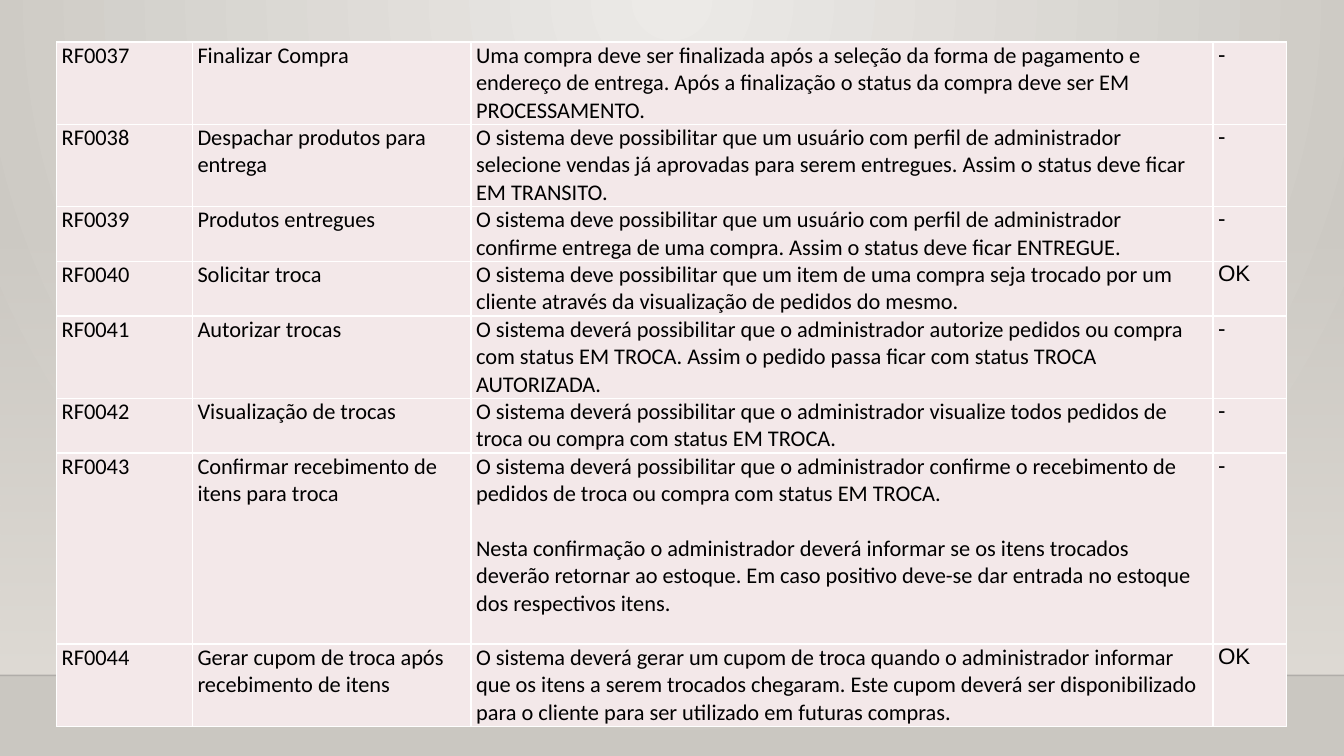
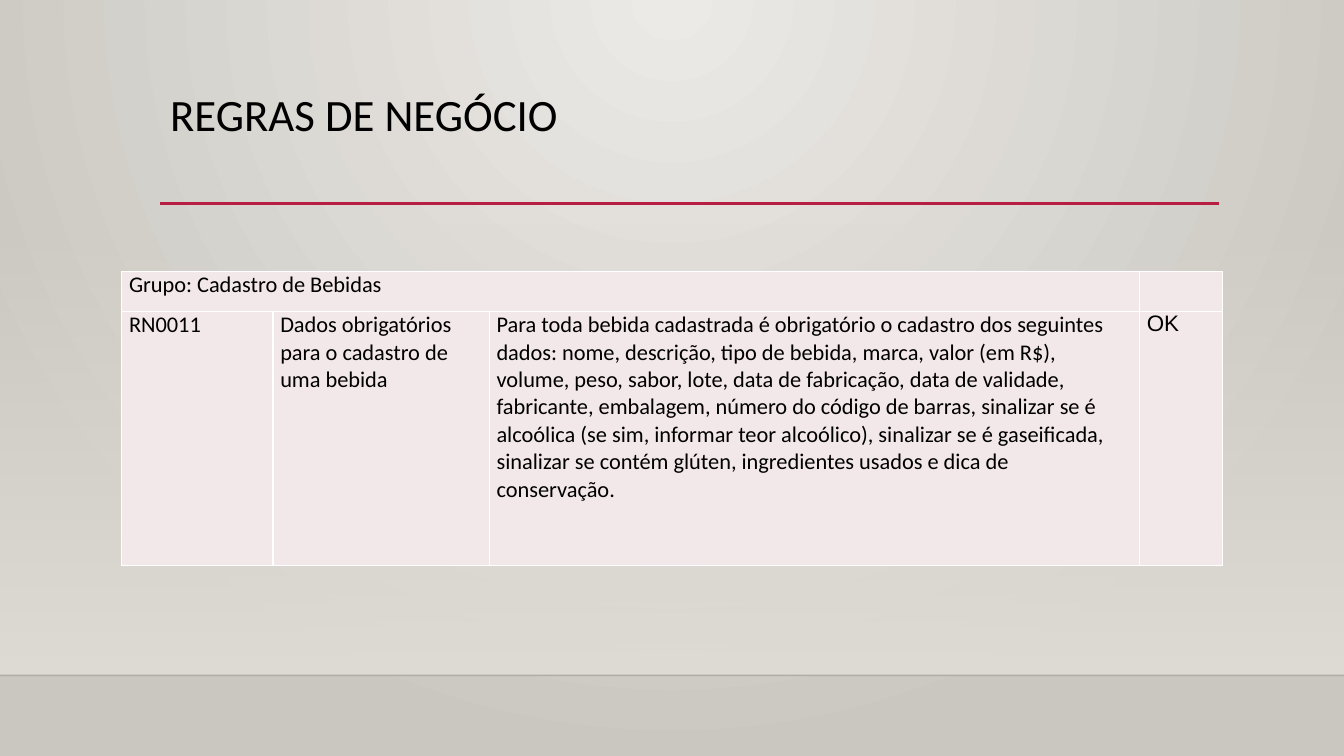
"""Build two slides of requirement and business rule tables."""
import pptx
import pptx.dml.color
import pptx.enum.shapes
import pptx.oxml.ns
import pptx.oxml.xmlchemy
import pptx.util

Pt = pptx.util.Pt
qn = pptx.oxml.ns.qn

REQUIREMENTS = [
    ("RF0037", "Finalizar Compra",
     "Uma compra deve ser finalizada após a seleção da forma de pagamento e endereço de entrega. "
     "Após a finalização o status da compra deve ser EM PROCESSAMENTO.", "-"),
    ("RF0038", "Despachar produtos para entrega",
     "O sistema deve possibilitar que um usuário com perfil de administrador selecione vendas já "
     "aprovadas para serem entregues. Assim o status deve ficar EM TRANSITO.", "-"),
    ("RF0039", "Produtos entregues",
     "O sistema deve possibilitar que um usuário com perfil de administrador confirme entrega de "
     "uma compra. Assim o status deve ficar ENTREGUE.", "-"),
    ("RF0040", "Solicitar troca",
     "O sistema deve possibilitar que um item de uma compra seja trocado por um cliente através "
     "da visualização de pedidos do mesmo.", "OK"),
    ("RF0041", "Autorizar trocas",
     "O sistema deverá possibilitar que o administrador autorize pedidos ou compra com status "
     "EM TROCA. Assim o pedido passa ficar com status TROCA AUTORIZADA.", "-"),
    ("RF0042", "Visualização de trocas",
     "O sistema deverá possibilitar que o administrador visualize todos pedidos de troca ou "
     "compra com status EM TROCA.", "-"),
    ("RF0043", "Confirmar recebimento de itens para troca",
     "O sistema deverá possibilitar que o administrador confirme o recebimento de pedidos de "
     "troca ou compra com status EM TROCA.\n"
     "Nesta confirmação o administrador deverá informar se os itens trocados deverão retornar ao "
     "estoque. Em caso positivo deve-se dar entrada no estoque dos respectivos itens.", "-"),
    ("RF0044", "Gerar cupom de troca após recebimento de itens",
     "O sistema deverá gerar um cupom de troca quando o administrador informar que os itens a "
     "serem trocados chegaram. Este cupom deverá ser disponibilizado para o cliente para ser "
     "utilizado em futuras compras.", "OK"),
]
REQUIREMENT_LINES = [3, 3, 2, 2, 3, 2, 7, 3]
RULES_TITLE = "REGRAS DE NEGÓCIO"
RULES = [
    ("Grupo: Cadastro de Bebidas", "", "", ""),
    ("RN0011", "Dados obrigatórios para o cadastro de uma bebida",
     "Para toda bebida cadastrada é obrigatório o cadastro dos seguintes dados: nome, descrição, "
     "tipo de bebida, marca, valor (em R$), volume, peso, sabor, lote, data de fabricação, data "
     "de validade, fabricante, embalagem, número do código de barras, sinalizar se é alcoólica "
     "(se sim, informar teor alcoólico), sinalizar se é gaseificada, sinalizar se contém glúten, "
     "ingredientes usados e dica de conservação.", "OK"),
]

WIDTH, HEIGHT = 960, 540
FLOOR_TOP = 482.4
LINE_HEIGHT = 19.5
BODY_FONT, STATUS_FONT = "Calibri", "Arial"
BLACK, WHITE, ACCENT, CELL = "000000", "FFFFFF", "B71E42", "F3E8E9"
CENTRE, EDGE, WALL, FLOOR_LINE = "ECEAE7", "CAC7C1", "DFDBD5", "000001"


def color(value):
    return pptx.dml.color.RGBColor.from_string(value)


def add_element(parent, tag, **attributes):
    element = pptx.oxml.xmlchemy.OxmlElement(tag)
    for name, value in attributes.items():
        element.set(name, str(value))
    parent.append(element)
    return element


def set_alpha(color_element, percent):
    add_element(color_element, "a:alpha", val=percent * 1000)


def set_gradient(fill, first, last):
    fill.gradient()
    for stop, value in zip(fill.gradient_stops, (first, last)):
        stop.color.rgb = color(value)


def set_background(master):
    set_gradient(master.background.fill, CENTRE, EDGE)
    gradient = master.element.find(".//" + qn("a:gradFill"))
    gradient.remove(gradient.find(qn("a:lin")))
    circle = add_element(gradient, "a:path", path="circle")
    add_element(circle, "a:fillToRect", l=43000, t=0, r=43000, b=100000)


def add_line(slide, left, right, y, value, weight):
    line = slide.shapes.add_connector(
        pptx.enum.shapes.MSO_CONNECTOR.STRAIGHT, Pt(left), Pt(y), Pt(right), Pt(y))
    line.line.color.rgb = color(value)
    line.line.width = Pt(weight)
    add_element(line.element.spPr, "a:effectLst")
    return line


def add_slide(presentation):
    slide = presentation.slides.add_slide(presentation.slide_layouts[6])
    wall_top = 159
    wall = slide.shapes.add_shape(
        pptx.enum.shapes.MSO_SHAPE.RECTANGLE, 0, Pt(wall_top), Pt(WIDTH), Pt(FLOOR_TOP - wall_top))
    wall.shadow.inherit = False
    wall.line.fill.background()
    set_gradient(wall.fill, WALL, WALL)
    wall.fill.gradient_angle = 270
    set_alpha(wall.element.spPr.find(".//" + qn("a:srgbClr")), 0)
    floor_line = add_line(slide, 0, WIDTH, FLOOR_TOP, FLOOR_LINE, 1)
    set_alpha(floor_line.element.spPr.find(".//" + qn("a:srgbClr")), 20)
    return slide


def format_paragraph(paragraph, font, size):
    for run in paragraph.runs:
        run.font.name = font
        run.font.size = Pt(size)
        run.font.color.rgb = color(BLACK)


def add_title(slide, text):
    left = 114.5
    add_line(slide, left, 871, 145.5, ACCENT, 2.5)
    title = slide.shapes.add_textbox(Pt(left), Pt(63), Pt(756), Pt(83))
    title.text_frame.word_wrap = True
    title.text_frame.text = text
    paragraph = title.text_frame.paragraphs[0]
    paragraph.line_spacing = 0.9
    format_paragraph(paragraph, BODY_FONT, 32)


def format_cell(cell, text, font, inset):
    cell.margin_left = cell.margin_right = Pt(inset)
    cell.margin_top = cell.margin_bottom = 0
    properties = cell._tc.get_or_add_tcPr()
    for side in ("a:lnL", "a:lnR", "a:lnT", "a:lnB"):
        border = add_element(properties, side, w=Pt(1))
        add_element(add_element(border, "a:solidFill"), "a:srgbClr", val=WHITE)
    cell.fill.solid()
    cell.fill.fore_color.rgb = color(CELL)
    cell.text_frame.text = text
    for index, paragraph in enumerate(cell.text_frame.paragraphs):
        if index:
            paragraph.space_before = Pt(LINE_HEIGHT)
        format_paragraph(paragraph, font, 16)


def add_table(slide, content, left, top, widths, heights, inset):
    table = slide.shapes.add_table(
        len(heights), len(widths), Pt(left), Pt(top), Pt(sum(widths)), Pt(sum(heights))).table
    table.first_row = table.horz_banding = False
    for column, width in zip(table.columns, widths):
        column.width = Pt(width)
    for row, height, texts in zip(table.rows, heights, content):
        row.height = Pt(height)
        for index, (cell, text) in enumerate(zip(row.cells, texts)):
            font = STATUS_FONT if index == len(widths) - 1 else BODY_FONT
            format_cell(cell, text, font, inset)
    return table


presentation = pptx.Presentation()
presentation.slide_width, presentation.slide_height = Pt(WIDTH), Pt(HEIGHT)
set_background(presentation.slide_master)

requirements_slide = add_slide(presentation)
add_table(requirements_slide, REQUIREMENTS, 40.5, 30, [97, 199, 530, 52.5],
          [lines * LINE_HEIGHT for lines in REQUIREMENT_LINES], 3.6)

rules_slide = add_slide(presentation)
add_title(rules_slide, RULES_TITLE)
rules_table = add_table(rules_slide, RULES, 87, 194, [108, 154.5, 464.5, 59], [28.5, 181.5], 5.2)
rules_table.cell(0, 0).merge(rules_table.cell(0, 2))

presentation.save("out.pptx")
